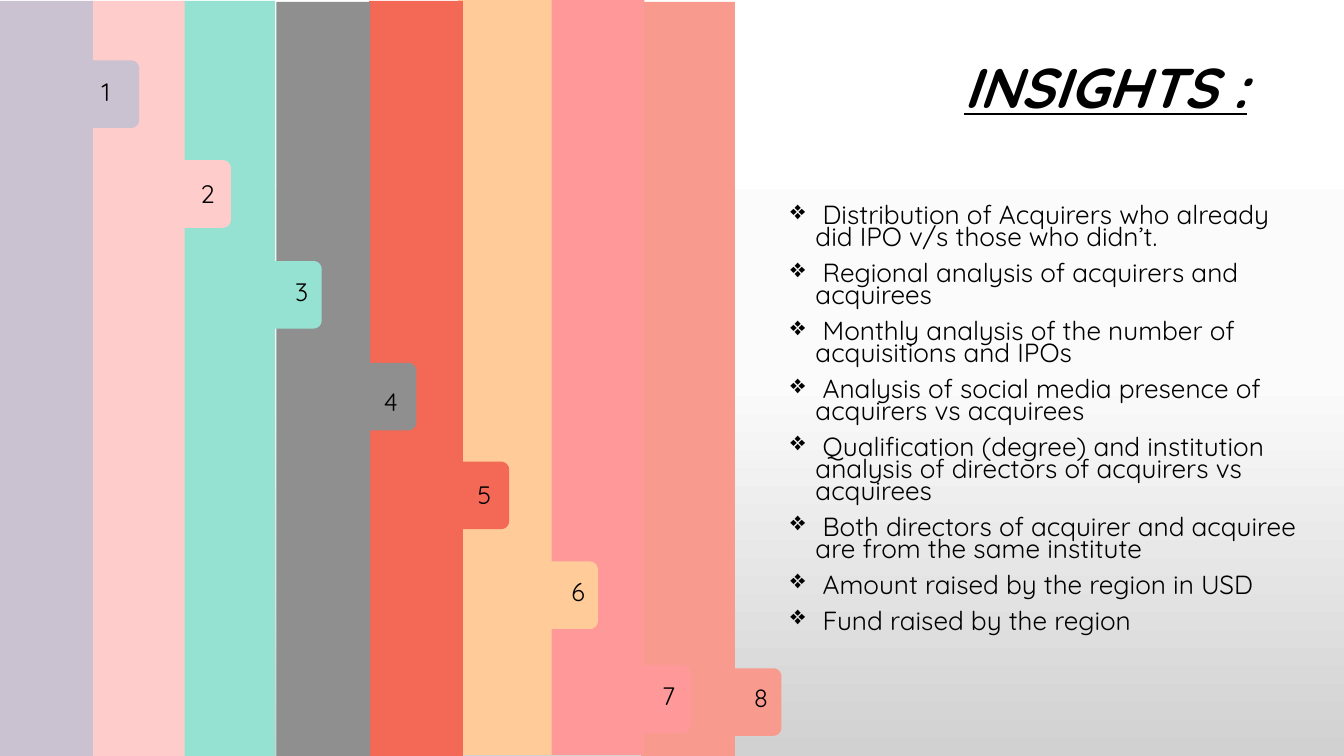
import copy
import math
from pptx import Presentation
from pptx import util as u
from pptx.dml.color import RGBColor
from pptx.enum import text as t
from pptx.oxml import parse_xml
from pptx.oxml.ns import nsdecls, qn

WIDE, HIGH = 13.33, 7.5
FONT = "Quicksand"
TITLE = "INSIGHTS :"
SKY = [("FFFFFF", 0), ("FBFBFB", 0.5), ("D1D1D1", 1)]
BAND, REACH, TAB, CURVE = 0.93, 1.39, 0.67, 0.08

# number, fill, band left and top, tab top, number left and top
BANDS = [
    ("8", "F89A8E", 6.36, 0.02, 6.63, 7.38, 6.72),
    ("7", "FF9999", 5.46, -0.01, 6.6, 6.47, 6.7),
    ("6", "FFCC99", 4.54, -0.01, 5.57, 5.57, 5.67),
    ("5", "F46856", 3.66, 0.01, 4.58, 4.64, 4.71),
    ("4", "8F8F8F", 2.74, 0.02, 3.6, 3.71, 3.78),
    ("3", "96E2D2", 1.8, 0.01, 2.59, 2.83, 2.69),
    ("2", "FFCCCC", 0.9, 0.01, 1.59, 1.89, 1.72),
    ("1", "CAC1D1", -0.01, 0.01, 0.6, 0.91, 0.71),
]
POINTS = [
    "Distribution of Acquirers who already did IPO v/s those who didn’t.",
    "Regional analysis of acquirers and acquirees",
    "Monthly analysis of the number of acquisitions and IPOs",
    "Analysis of social media presence of acquirers vs acquirees",
    "Qualification (degree) and institution analysis of directors of acquirers vs acquirees",
    "Both directors of acquirer and acquiree are from the same institute",
    "Amount raised by the region in USD",
    "Fund raised by the region",
]


def color(code):
    return RGBColor.from_string(code)


def write(slide, box, lines, size):
    frame = slide.shapes.add_textbox(*map(u.Inches, box)).text_frame
    frame.word_wrap = True
    frame.text = "\n".join(lines)
    for para in frame.paragraphs:
        for run in para.runs:
            run.font.name, run.font.size = FONT, u.Pt(size)
            run.font.color.rgb = color("000000")
    return frame


def bend(x, y, start):
    turns = [math.radians(start + 15 * i) for i in range(7)]
    return [(x + CURVE * math.cos(a), y + CURVE * math.sin(a)) for a in turns]


def band(slide, fill, left, top, tab):
    edge, tip, foot, base = left + BAND, left + REACH, tab + TAB, top + HIGH
    spots = [(left, top), (edge, top), (edge, tab)]
    spots += bend(tip - CURVE, tab + CURVE, -90)
    spots += bend(tip - CURVE, foot - CURVE, 0)
    spots += [(edge, foot), (edge, base), (left, base)]
    spots = [(u.Inches(x), u.Inches(y)) for x, y in spots]
    pen = slide.shapes.build_freeform(*spots[0])
    pen.add_line_segments(spots[1:])
    shape = pen.convert_to_shape()
    shape.shadow.inherit = False
    shape.fill.solid()
    shape.fill.fore_color.rgb = color(fill)
    shape.line.fill.background()


def shade(slide):
    fill = slide.background.fill
    fill.gradient()
    fill.gradient_angle = 270
    stops = slide.element.find(".//" + qn("a:gsLst"))
    stops.insert(1, copy.deepcopy(stops[0]))
    for stop, (code, place) in zip(fill.gradient_stops, SKY):
        stop.color.rgb = color(code)
        stop.position = place


def main():
    deck = Presentation()
    deck.slide_width, deck.slide_height = u.Inches(WIDE), u.Inches(HIGH)
    slide = deck.slides.add_slide(deck.slide_layouts[6])
    shade(slide)

    for label, fill, left, top, tab, x, y in BANDS:
        band(slide, fill, left, top, tab)
        write(slide, (x, y, 0.36, 0.4), [label], 18)

    head = write(slide, (3.05, 0.19, 9.42, 1.41), [TITLE], 40)
    head.vertical_anchor = t.MSO_ANCHOR.MIDDLE
    para = head.paragraphs[0]
    para.alignment, para.line_spacing = t.PP_ALIGN.RIGHT, 0.9
    font = para.runs[0].font
    font.bold = font.italic = font.underline = True

    body = write(slide, (7.74, 2, 5.36, 4.76), [" " + p for p in POINTS], 18.7)
    for i, para in enumerate(body.paragraphs):
        para.line_spacing = 0.7
        para.space_before = u.Pt(10 if i else 0)
        props = para._p.get_or_add_pPr()
        props.set("marL", str(u.Inches(0.25)))
        props.set("indent", str(-u.Inches(0.25)))
        props.append(parse_xml(f'<a:buChar {nsdecls("a")} char="❖"/>'))

    deck.save("out.pptx")


if __name__ == "__main__":
    main()
